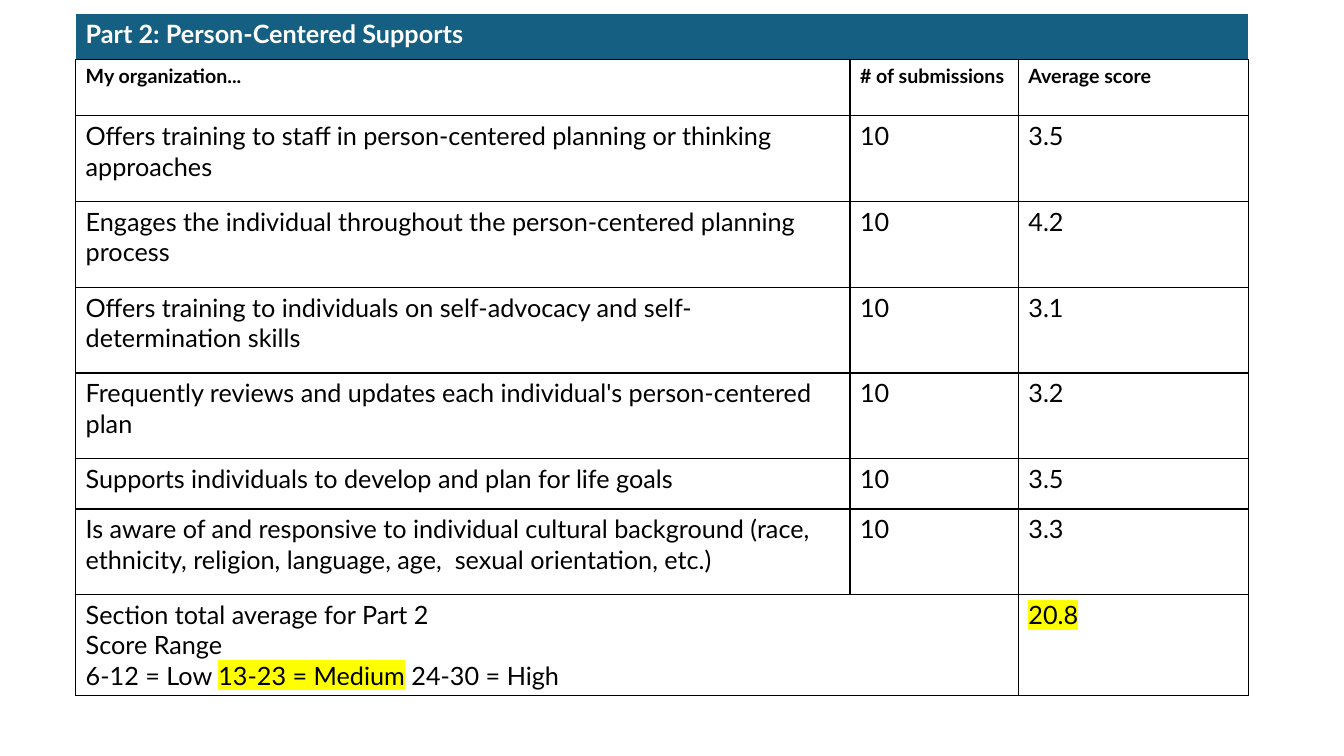
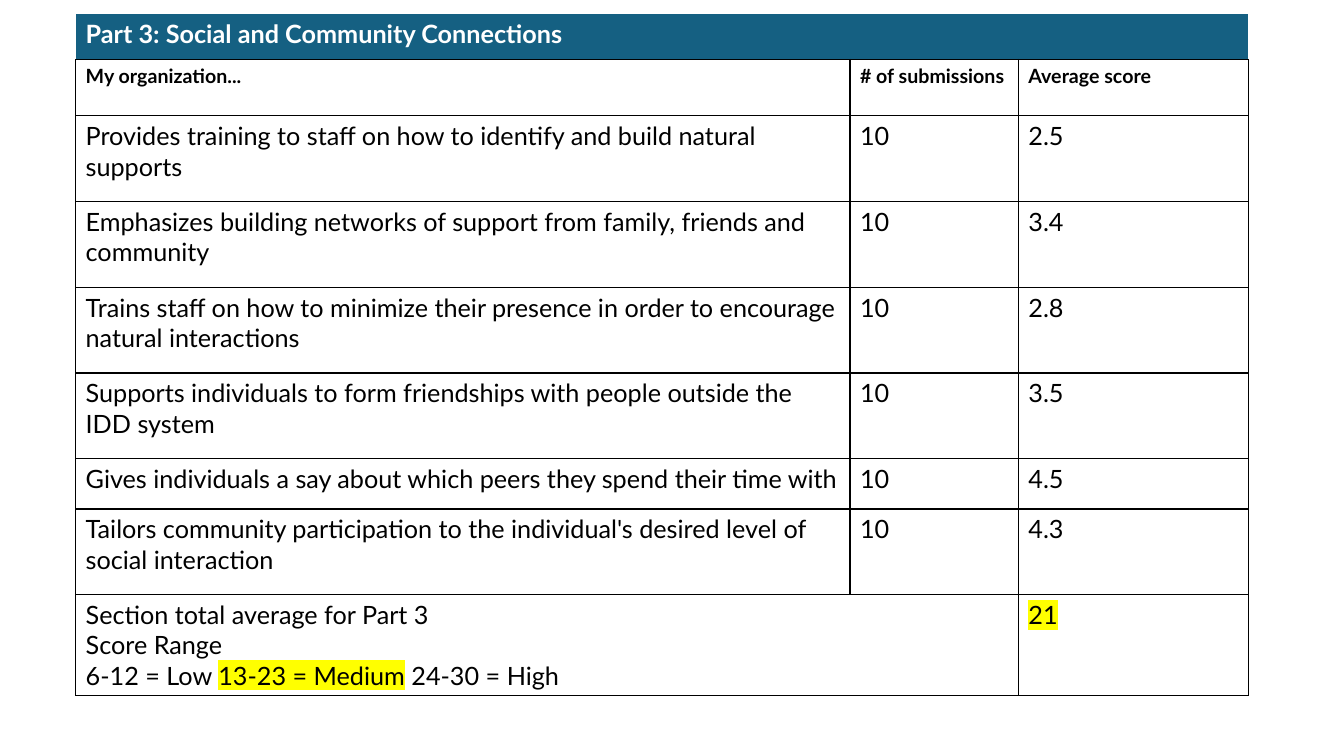
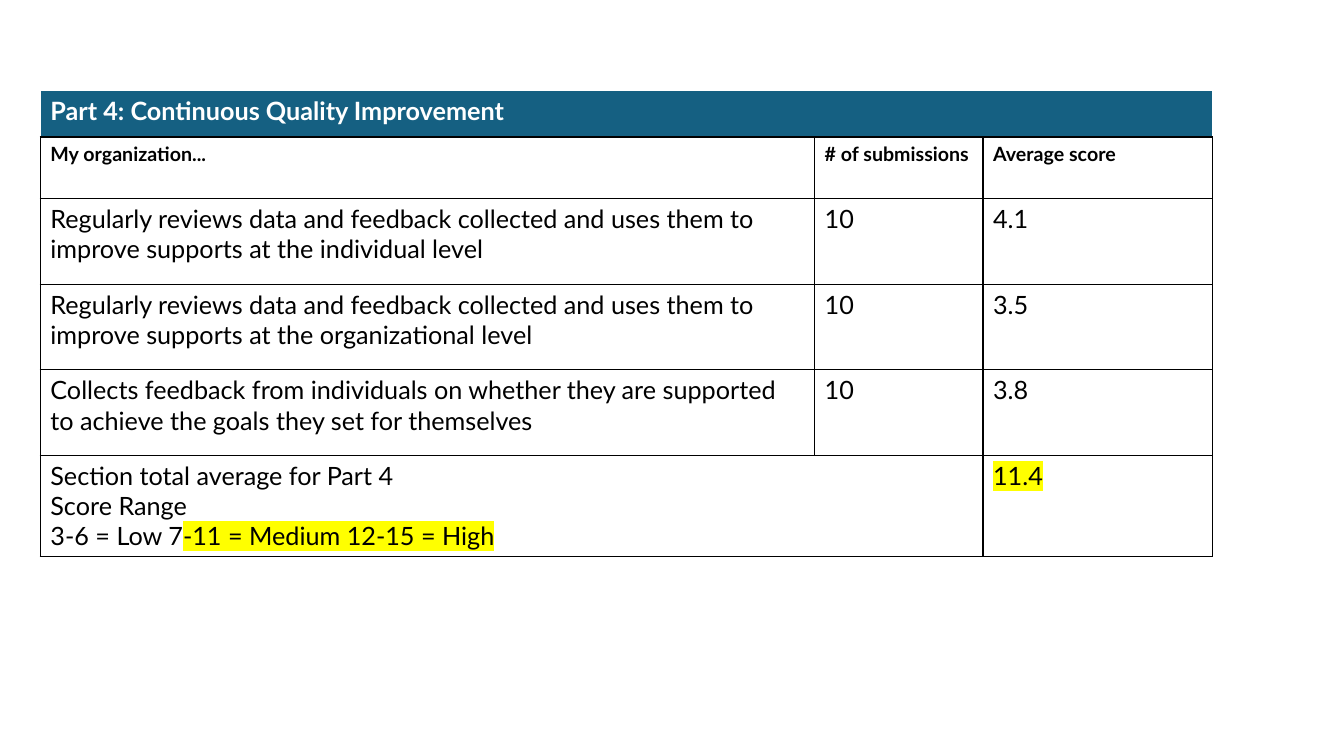
from lxml.etree import SubElement
from pptx import Presentation
from pptx.dml.color import RGBColor
from pptx.enum.text import MSO_ANCHOR
from pptx.oxml import parse_xml
from pptx.oxml.ns import nsdecls, qn
from pptx.util import Inches, Pt

FONT = "Lato"
TEAL, BLACK, WHITE, YELLOW = "156082", "000000", "FFFFFF", "FFFF00"
COLUMN_WIDTHS = (7.68, 1.67, 2.28)
HEADINGS = ("My organization...", "# of submissions", "Average score")
SUBMISSIONS = "10"
TITLE_HEIGHT, TOTAL_HEIGHT = 0.46, 0.99
STATEMENT_HEIGHTS = {1: 0.5, 2: 0.85}  # by number of text lines
SIX_ITEM_RANGE = [("6-12 = Low ", False), ("13-23 = Medium", True), (" 24-30 = High", False)]

SECTIONS = [
    {
        "part": "Part 2", "name": "Person-Centered Supports",
        "left": 0.75, "top": 0.13, "heading_height": 0.56,
        "statements": [
            ("Offers training to staff in person-centered planning or thinking approaches", "3.5", 2),
            ("Engages the individual throughout the person-centered planning process", "4.2", 2),
            ("Offers training to individuals on self-advocacy and self-determination skills", "3.1", 2),
            ("Frequently reviews and updates each individual's person-centered plan", "3.2", 2),
            ("Supports individuals to develop and plan for life goals", "3.5", 1),
            ("Is aware of and responsive to individual cultural background (race, ethnicity, "
             "religion, language, age,  sexual orientation, etc.)", "3.3", 2),
        ],
        "total": "20.8", "score_range": SIX_ITEM_RANGE,
    },
    {
        "part": "Part 3", "name": "Social and Community Connections",
        "left": 0.75, "top": 0.13, "heading_height": 0.56,
        "statements": [
            ("Provides training to staff on how to identify and build natural supports", "2.5", 2),
            ("Emphasizes building networks of support from family, friends and community", "3.4", 2),
            ("Trains staff on how to minimize their presence in order to encourage "
             "natural interactions", "2.8", 2),
            ("Supports individuals to form friendships with people outside the IDD system", "3.5", 2),
            ("Gives individuals a say about which peers they spend their time with", "4.5", 1),
            ("Tailors community participation to the individual's desired level of "
             "social interaction", "4.3", 2),
        ],
        "total": "21", "score_range": SIX_ITEM_RANGE,
    },
    {
        "part": "Part 4", "name": "Continuous Quality Improvement",
        "left": 0.4, "top": 0.9, "heading_height": 0.61,
        "statements": [
            ("Regularly reviews data and feedback collected and uses them to improve supports "
             "at the individual level", "4.1", 2),
            ("Regularly reviews data and feedback collected and uses them to improve supports "
             "at the organizational level", "3.5", 2),
            ("Collects feedback from individuals on whether they are supported to achieve "
             "the goals they set for themselves", "3.8", 2),
        ],
        "total": "11.4",
        "score_range": [("3-6 = Low 7", False), ("-11 = Medium 12-15 = High", True)],
    },
]


def rgb(color):
    return RGBColor.from_string(color)


def add_text(para, text, size=18, color=BLACK, bold=False, highlight=False):
    span = para.add_run()
    span.text = text
    font = span.font
    font.name, font.size, font.bold = FONT, Pt(size), bold
    font.color.rgb = rgb(color)
    if highlight:
        properties = span._r.get_or_add_rPr()
        marker = SubElement(properties, qn("a:highlight"))
        SubElement(marker, qn("a:srgbClr"), val=YELLOW)
        properties.find(qn("a:solidFill")).addnext(marker)


def style_cell(cell, fill=WHITE, left=BLACK, right=BLACK, top=BLACK, bottom=BLACK):
    """Fill the cell and draw its four borders, one point wide."""
    cell.vertical_anchor = MSO_ANCHOR.TOP
    cell.fill.solid()
    cell.fill.fore_color.rgb = rgb(fill)
    properties = cell._tc.get_or_add_tcPr()
    borders = {"lnL": left, "lnR": right, "lnT": top, "lnB": bottom}
    for index, (tag, color) in enumerate(borders.items()):
        properties.insert(index, parse_xml(
            f'<a:{tag} {nsdecls("a")} w="12700"><a:solidFill>'
            f'<a:srgbClr val="{color}"/></a:solidFill></a:{tag}>'))


def fill_row(cells, texts, **text_format):
    for cell, text in zip(cells, texts):
        add_text(cell.text_frame.paragraphs[0], text, **text_format)


def fill_total_row(cells, section):
    cells[0].merge(cells[1])
    frame = cells[0].text_frame
    add_text(frame.paragraphs[0], f"Section total average for {section['part']}")
    add_text(frame.add_paragraph(), "Score Range")
    range_para = frame.add_paragraph()
    for text, highlight in section["score_range"]:
        add_text(range_para, text, highlight=highlight)
    add_text(cells[2].text_frame.paragraphs[0], section["total"], highlight=True)


def add_score_table(page, section):
    statements = section["statements"]
    heights = [TITLE_HEIGHT, section["heading_height"],
               *(STATEMENT_HEIGHTS[lines] for _, _, lines in statements), TOTAL_HEIGHT]
    table = page.shapes.add_table(
        len(heights), len(COLUMN_WIDTHS), Inches(section["left"]), Inches(section["top"]),
        Inches(sum(COLUMN_WIDTHS)), Inches(sum(heights))).table
    table.first_row = table.horz_banding = False
    for column, width in zip(table.columns, COLUMN_WIDTHS):
        column.width = Inches(width)
    for row, height in zip(table.rows, heights):
        row.height = Inches(height)

    title_row, heading_row, *statement_rows, total_row = [list(row.cells) for row in table.rows]
    for cell in title_row:
        style_cell(cell, fill=TEAL, left=WHITE, right=WHITE, top=WHITE)
    for row in (heading_row, *statement_rows, total_row):
        for cell in row:
            style_cell(cell)

    title_row[0].merge(title_row[-1])
    fill_row(title_row, [f"{section['part']}: {section['name']}"], color=WHITE, bold=True)
    fill_row(heading_row, HEADINGS, size=14, bold=True)
    for row, (statement, score, _) in zip(statement_rows, statements):
        fill_row(row, (statement, SUBMISSIONS, score))
    fill_total_row(total_row, section)


def main():
    deck = Presentation()
    deck.slide_width, deck.slide_height = Inches(13.33), Inches(7.5)
    blank_layout = deck.slide_layouts[6]
    for section in SECTIONS:
        add_score_table(deck.slides.add_slide(blank_layout), section)
    deck.save("out.pptx")


if __name__ == "__main__":
    main()
